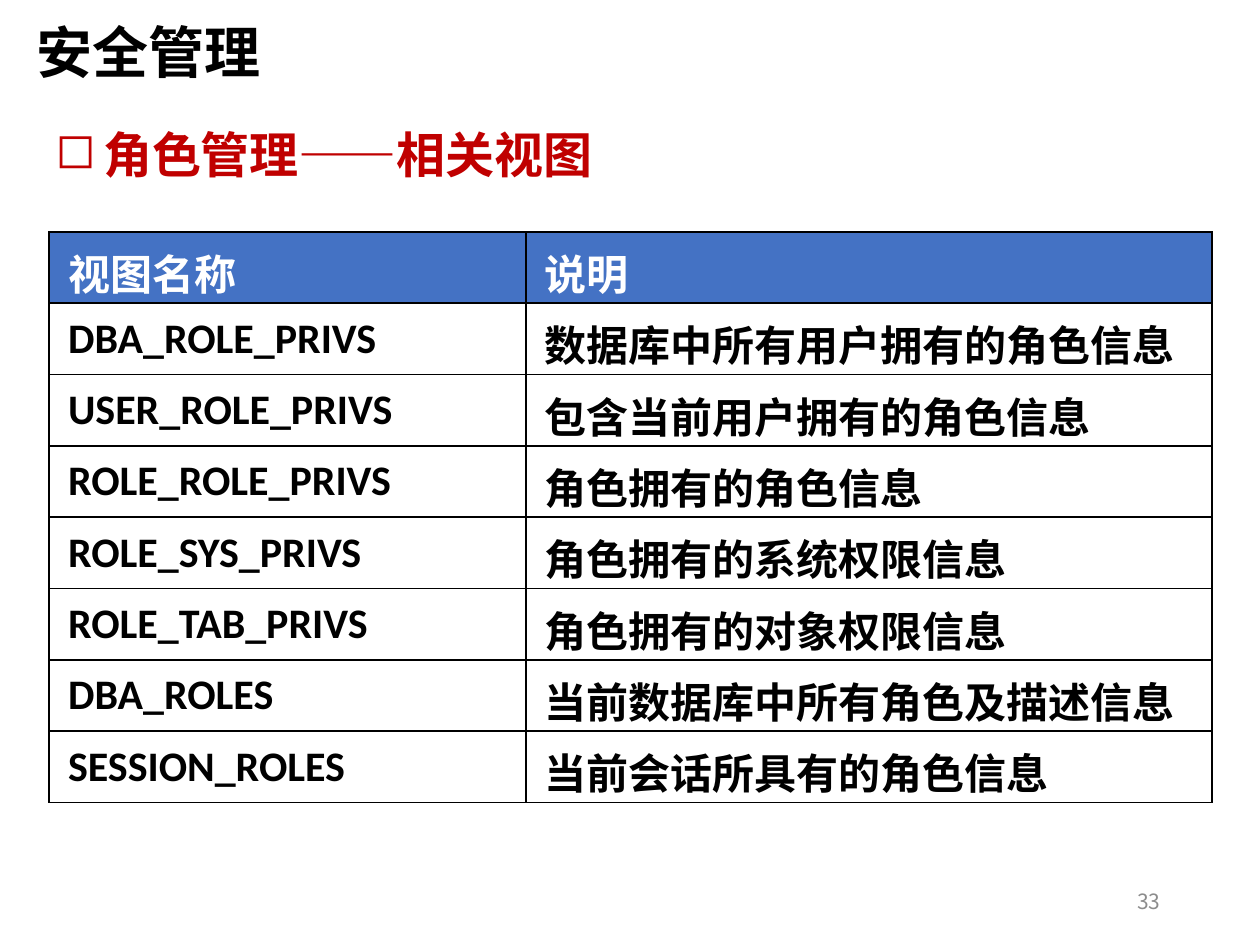
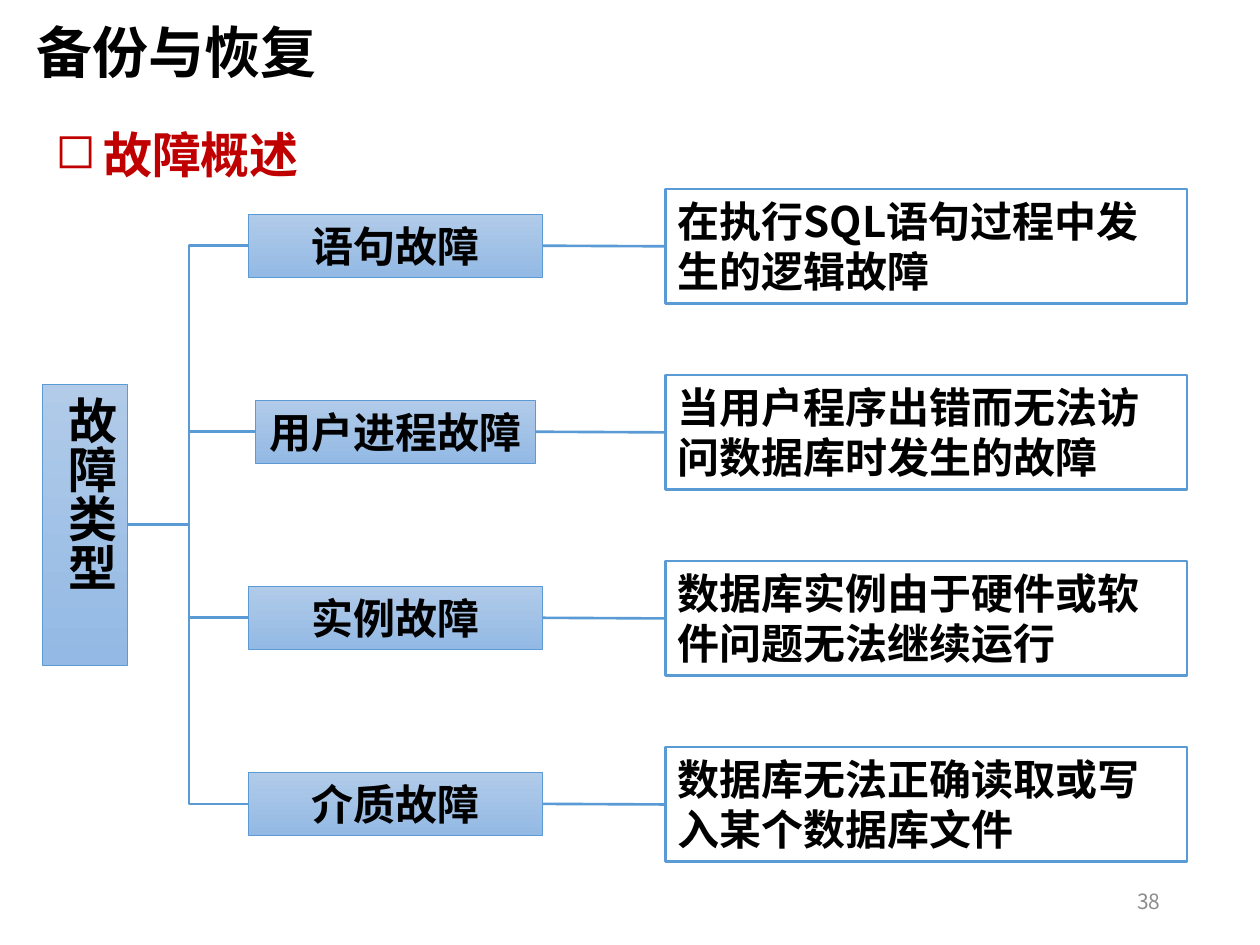
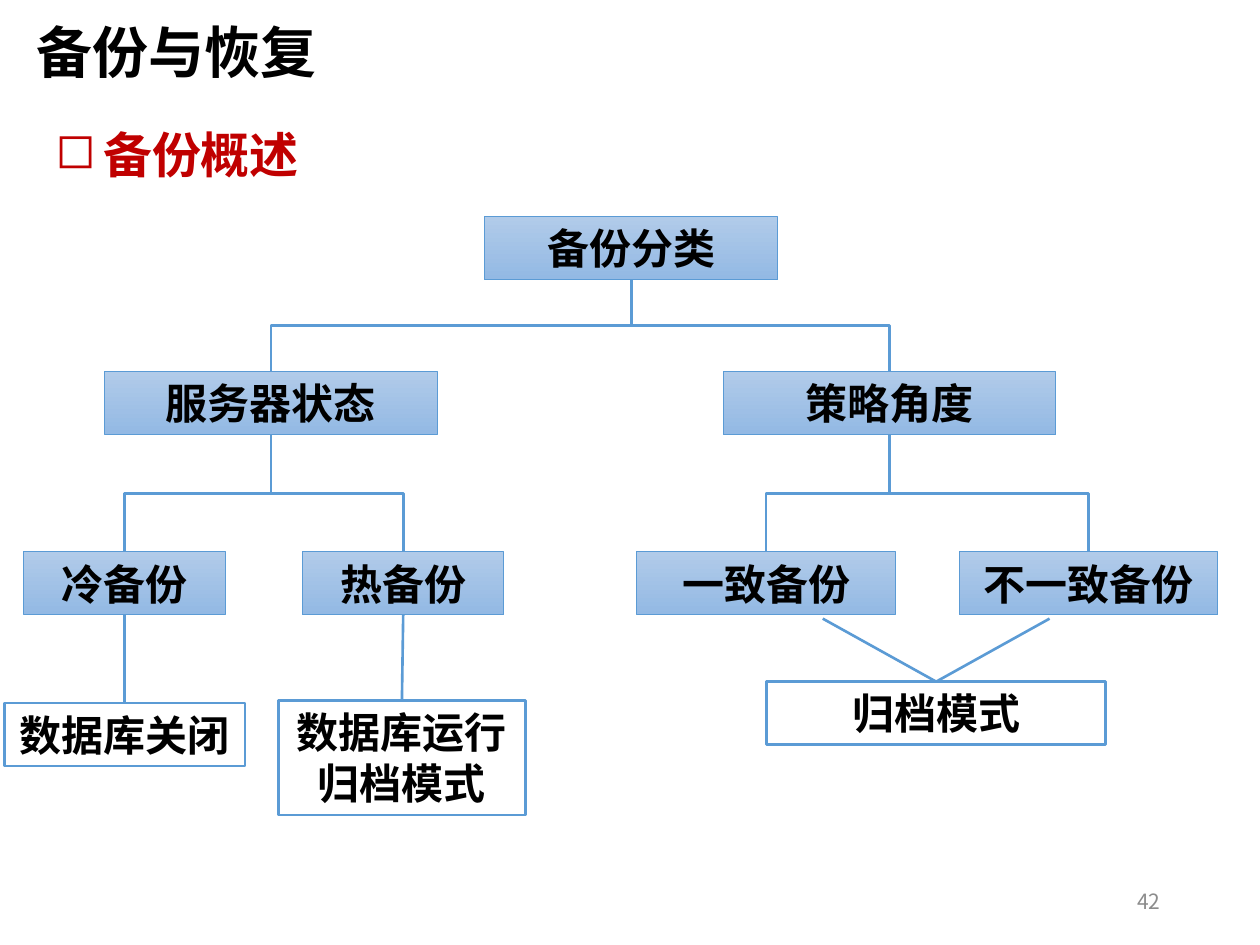
import pptx
import pptx.dml.color
import pptx.enum.shapes
import pptx.enum.text
import pptx.oxml
import pptx.oxml.ns
import pptx.util
from pptx.util import Inches

CJK = "Noto Sans CJK SC"
BLACK, WHITE, RED, GRAY = "000000", "FFFFFF", "C00000", "8C8C8C"
EDGE, HEADER = "5B9BD5", "4472C4"
GRADIENT = ("B1CBE9", "93B9E4")
TOP, LEFT, BOTTOM, RIGHT = range(4)
ALIGN = pptx.enum.text.PP_ALIGN
ANCHOR = pptx.enum.text.MSO_ANCHOR
CONNECTOR = pptx.enum.shapes.MSO_CONNECTOR
RECTANGLE = pptx.enum.shapes.MSO_SHAPE.RECTANGLE
qn = pptx.oxml.ns.qn


def color(value):
    return pptx.dml.color.RGBColor.from_string(value)


def inches(*lengths):
    return [Inches(length) for length in lengths]


def add_xml(parent, markup):
    namespace = pptx.oxml.ns.nsdecls("a")
    element = pptx.oxml.parse_xml(markup.replace("/>", f" {namespace}/>", 1)
                                  if markup.endswith("/>") and markup.count("<") == 1
                                  else markup.replace(">", f" {namespace}>", 1))
    parent.append(element)


def write(frame, text, size=24, font=CJK, ink=BLACK, bold=True, align=ALIGN.LEFT,
          anchor=ANCHOR.TOP, wrap=True, bullet=None):
    frame.word_wrap = wrap
    frame.vertical_anchor = anchor
    for index, line in enumerate(text.split("\n")):
        para = frame.add_paragraph() if index else frame.paragraphs[0]
        para.alignment = align
        if bullet:
            props = para._p.get_or_add_pPr()
            props.set("marL", str(Inches(0.38)))
            props.set("indent", str(Inches(-0.38)))
            add_xml(props, f'<a:buChar char="{bullet}"/>')
        span = para.add_run()
        span.text = line
        span.font.size = pptx.util.Pt(size)
        span.font.name = font
        span.font.bold = bold
        span.font.color.rgb = color(ink)
        if font == CJK:
            add_xml(span.font._element, f'<a:ea typeface="{font}"/>')


def add_text(page, box, text, **style):
    write(page.shapes.add_textbox(*inches(*box)).text_frame, text, **style)


def add_node(page, box, text, filled=True, vertical=False, **style):
    node = page.shapes.add_shape(RECTANGLE, *inches(*box))
    node.shadow.inherit = False
    if filled:
        node.fill.gradient()
        node.fill.gradient_angle = 270
        for stop, value in zip(node.fill.gradient_stops, GRADIENT):
            stop.color.rgb = color(value)
    else:
        node.fill.solid()
        node.fill.fore_color.rgb = color(WHITE)
    node.line.color.rgb = color(EDGE)
    node.line.width = pptx.util.Pt(0.5 if filled else 1.5)
    write(node.text_frame, text, **style)
    if vertical:
        node.element.find(".//" + qn("a:bodyPr")).set("vert", "eaVert")
    return node


def add_line(page, kind=CONNECTOR.STRAIGHT, start=(0, 0), end=(0, 0)):
    line = page.shapes.add_connector(kind, *inches(*start, *end))
    line.line.color.rgb = color(EDGE)
    line.line.width = pptx.util.Pt(1.5)
    add_xml(line.element.spPr, "<a:effectLst/>")
    return line


def link(page, source, source_site, target, target_site, kind=CONNECTOR.STRAIGHT):
    line = add_line(page, kind)
    line.begin_connect(source, source_site)
    line.end_connect(target, target_site)
    return line


def branch_right(page, source, target, trunk):
    line = link(page, source, RIGHT, target, LEFT, CONNECTOR.ELBOW)
    bend = round((Inches(trunk) - line.begin_x) / line.width * 100000)
    guides = line.element.find(".//" + qn("a:avLst"))
    add_xml(guides, f'<a:gd name="adj1" fmla="val {bend}"/>')


def branch_down(page, source, target):
    line = link(page, source, BOTTOM, target, TOP, CONNECTOR.ELBOW)
    leftward = line.end_x < line.begin_x
    across, down = line.width, line.height
    line.left += (across - down) // 2
    line.top += (down - across) // 2
    line.width, line.height = down, across
    frame = line.element.find(".//" + qn("a:xfrm"))
    frame.set("rot", str((90 if leftward else 270) * 60000))
    frame.set("flipH", "0" if leftward else "1")


def add_page(deck, title, topic, number):
    page = deck.slides.add_slide(deck.slide_layouts[6])
    add_text(page, (7.06, 6.95, 2.25, 0.4), number, size=12, ink=GRAY, bold=False,
             align=ALIGN.RIGHT, anchor=ANCHOR.MIDDLE)
    add_text(page, (0.34, 0.94, 9.32, 0.57), topic, size=28, ink=RED, bullet="◻")
    add_text(page, (0.19, 0.09, 2.45, 0.64), title, size=32, wrap=False)
    return page


def add_view_table(page, box, rows):
    left, top, width, height = box
    table = page.shapes.add_table(len(rows), 2, *inches(*box)).table
    for column, share in zip(table.columns, (0.41, 0.59)):
        column.width = Inches(width * share)
    for row_index, row in enumerate(rows):
        table.rows[row_index].height = Inches(height / len(rows))
        for column_index, text in enumerate(row):
            cell = table.cell(row_index, column_index)
            cell.margin_left = cell.margin_right = Inches(0.15)
            cell.margin_top = cell.margin_bottom = Inches(0.08)
            cell.vertical_anchor = ANCHOR.MIDDLE
            props = cell._tc.get_or_add_tcPr()
            for side in "LRTB":
                add_xml(props, f'<a:ln{side} w="12700"><a:solidFill><a:srgbClr val="{BLACK}"/>'
                               f'</a:solidFill></a:ln{side}>')
            cell.fill.solid()
            cell.fill.fore_color.rgb = color(WHITE if row_index else HEADER)
            write(cell.text_frame, text, font="Calibri", ink=BLACK if row_index else WHITE,
                  anchor=ANCHOR.MIDDLE)


def add_fault_tree(page, box, faults):
    left, top, width, height = box
    root = add_node(page, (left, top + 1.55, 0.67, 2.23), "故障类型", size=28,
                    vertical=True, wrap=False)
    detail_height = 0.91
    pitch = (height - detail_height) / (len(faults) - 1)
    for index, (name, name_width, detail) in enumerate(faults):
        row_top = top + index * pitch
        fault = add_node(page, (left + 2.8 - name_width / 2, row_top + 0.2, name_width, 0.5),
                         name, align=ALIGN.CENTER, wrap=False)
        note = add_node(page, (left + width - 4.14, row_top, 4.14, detail_height), detail,
                        filled=False)
        branch_right(page, root, fault, left + 1.16)
        link(page, fault, RIGHT, note, LEFT)


def add_backup_tree(page, box):
    left, top, width, height = box

    def place(center, offset, node_width, text, node_height=0.5, filled=True):
        return add_node(page, (left + center - node_width / 2, top + offset, node_width,
                               node_height), text, filled=filled, align=ALIGN.CENTER)

    root = place(4.97, 0, 2.33, "备份分类")
    server = place(2.11, 1.23, 2.64, "服务器状态")
    policy = place(7.02, 1.23, 2.64, "策略角度")
    cold = place(0.95, 2.66, 1.6, "冷备份")
    hot = place(3.16, 2.66, 1.6, "热备份")
    consistent = place(6.04, 2.66, 2.05, "一致备份")
    inconsistent = place(8.6, 2.66, 2.05, "不一致备份")
    closed = place(0.95, 3.86, 1.91, "数据库关闭", filled=False)
    running = place(3.15, 3.84, 1.96, "数据库运行\n归档模式", 0.91, filled=False)
    archive = place(7.39, 3.69, 2.69, "归档模式", filled=False)
    for parent, children in ((root, (server, policy)), (server, (cold, hot)),
                             (policy, (consistent, inconsistent))):
        for child in children:
            branch_down(page, parent, child)
    link(page, cold, BOTTOM, closed, TOP)
    link(page, hot, BOTTOM, running, TOP)
    for shift in (-0.9, 0.9):
        line = add_line(page, start=(left + 7.39 + shift, top + 3.19),
                        end=(left + 7.39, top + 3.69))
        line.end_connect(archive, TOP)


def main():
    deck = pptx.Presentation()
    deck.slide_width, deck.slide_height = inches(10, 7.5)

    page = add_page(deck, "安全管理", "角色管理——相关视图", "33")
    add_view_table(page, (0.39, 1.84, 9.23, 4.53), (
        ("视图名称", "说明"),
        ("DBA_ROLE_PRIVS", "数据库中所有用户拥有的角色信息"),
        ("USER_ROLE_PRIVS", "包含当前用户拥有的角色信息"),
        ("ROLE_ROLE_PRIVS", "角色拥有的角色信息"),
        ("ROLE_SYS_PRIVS", "角色拥有的系统权限信息"),
        ("ROLE_TAB_PRIVS", "角色拥有的对象权限信息"),
        ("DBA_ROLES", "当前数据库中所有角色及描述信息"),
        ("SESSION_ROLES", "当前会话所具有的角色信息"),
    ))

    page = add_page(deck, "备份与恢复", "故障概述", "38")
    add_fault_tree(page, (0.34, 1.5, 9.08, 5.34), (
        ("语句故障", 2.33, "在执行SQL语句过程中发生的逻辑故障"),
        ("用户进程故障", 2.22, "当用户程序出错而无法访问数据库时发生的故障"),
        ("实例故障", 2.33, "数据库实例由于硬件或软件问题无法继续运行"),
        ("介质故障", 2.33, "数据库无法正确读取或写入某个数据库文件"),
    ))

    page = add_page(deck, "备份与恢复", "备份概述", "42")
    add_backup_tree(page, (0.04, 1.72, 9.62, 4.75))

    deck.save("out.pptx")


if __name__ == "__main__":
    main()
